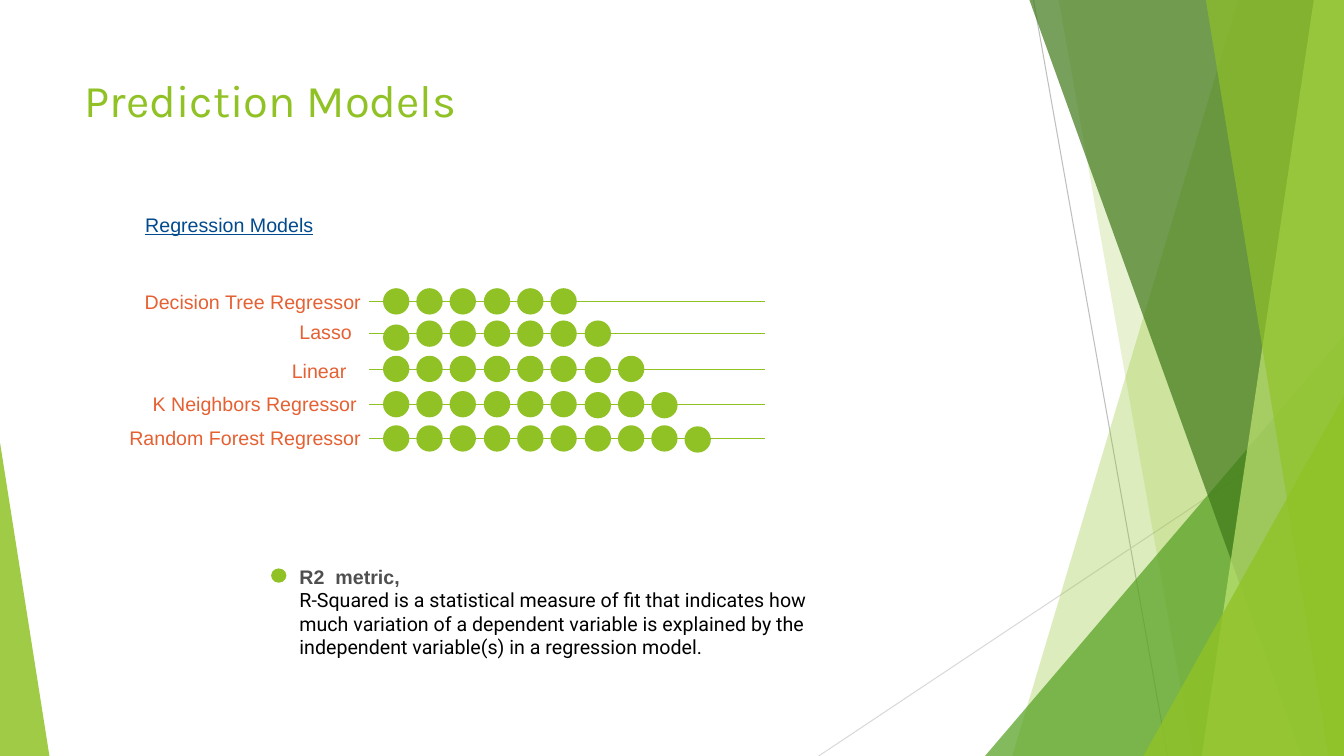
import pptx
import pptx.util
import pptx.dml.color
import pptx.enum.shapes
import pptx.enum.text
import pptx.oxml.ns
from lxml import etree

PX = 9144  # EMU per px, 100 px to the inch
SHAPE = pptx.enum.shapes.MSO_SHAPE
ALIGN = pptx.enum.text.PP_ALIGN
ANCHOR = pptx.enum.text.MSO_ANCHOR
GREEN, ORANGE, BLUE, GREY, BLACK = "90C226", "E56032", "004A8D", "4F4F4F", "000000"


def px(*values):
    return [pptx.util.Emu(v * PX) for v in values]


def rgb(value):
    return pptx.dml.color.RGBColor.from_string(value)


class Deck:
    def __init__(self, width, height):
        self.prs = pptx.Presentation()
        self.prs.slide_width, self.prs.slide_height = px(width, height)
        self.s = None

    def add_slide(self):
        self.s = self.prs.slides.add_slide(self.prs.slide_layouts[5])

    def run(self, p, text, size=14, font="Arial", color=BLACK, bold=False, underline=False):
        r = p.add_run()
        r.text = text
        r.font.size, r.font.name = pptx.util.Pt(size), font
        r.font.bold, r.font.underline = bold, underline
        r.font.color.rgb = rgb(color)

    def title(self, text, x, y, w, h):
        sp = self.s.shapes.title
        sp.left, sp.top, sp.width, sp.height = px(x, y, w, h)
        tf = sp.text_frame
        tf.vertical_anchor = ANCHOR.MIDDLE
        tf.paragraphs[0].alignment = ALIGN.LEFT
        self.run(tf.paragraphs[0], text, 32.4, "Karla", GREEN)

    def text(self, x, y, w, h, runs, align=ALIGN.LEFT):
        """One paragraph for each (text, style) pair."""
        tf = self.s.shapes.add_textbox(*px(x, y, w, h)).text_frame
        tf.word_wrap = True
        tf.margin_left = tf.margin_right = tf.margin_top = tf.margin_bottom = 0
        for i, (words, style) in enumerate(runs):
            p = tf.add_paragraph() if i else tf.paragraphs[0]
            p.alignment = align
            self.run(p, words, **style)

    def line(self, x1, y1, x2, y2, color, width):
        sp = self.s.shapes.add_connector(
            pptx.enum.shapes.MSO_CONNECTOR.STRAIGHT, *px(x1, y1, x2, y2))
        sp.line.color.rgb = rgb(color)
        sp.line.width = pptx.util.Pt(width)
        etree.SubElement(sp._element.spPr, pptx.oxml.ns.qn("a:effectLst"))

    def paint(self, sp, color, opacity):
        sp.shadow.inherit = False
        sp.fill.solid()
        sp.fill.fore_color.rgb = rgb(color)
        sp.line.fill.background()
        clr = sp._element.spPr.find(".//" + pptx.oxml.ns.qn("a:srgbClr"))
        etree.SubElement(clr, pptx.oxml.ns.qn("a:alpha"), val=str(opacity * 1000))

    def facet(self, points, color, opacity):
        fb = self.s.shapes.build_freeform(*points[0], scale=PX)
        fb.add_line_segments(points[1:], close=True)
        self.paint(fb.convert_to_shape(), color, opacity)

    def triangle(self, x, y, w, h, apex, color, opacity):
        sp = self.s.shapes.add_shape(SHAPE.ISOSCELES_TRIANGLE, *px(x, y, w, h))
        sp.adjustments[0] = apex
        self.paint(sp, color, opacity)

    def dot(self, x, y, w, h):
        sp = self.s.shapes.add_shape(SHAPE.OVAL, *px(x, y, w, h))
        sp.shadow.inherit = False
        sp.fill.solid()
        sp.fill.fore_color.rgb = sp.line.color.rgb = rgb(GREEN)
        sp.line.width = pptx.util.Pt(1.5)


W, H = 1333, 750
deck = Deck(W, H)
deck.add_slide()

# Background facets, each running from a top corner to a bottom corner
deck.line(1025, 0, 1158, H, "BFBFBF", 0.75)
deck.line(W, 403, 812, H, "D9D9D9", 0.75)


def band(top, bottom, color, opacity):
    deck.facet([(top, 0), (W, 0), (W, H), (bottom, H)], color, opacity)


band(1228, 1004, GREEN, 30)
band(1050, 1183, GREEN, 20)
deck.triangle(977, 333, 356, 417, 1, "54A021", 72)
band(1021, 1291, "3F7819", 70)
band(1303, 1192, "C0E474", 70)
band(1196, 1318, GREEN, 65)
deck.triangle(1134, 393, 199, 357, 1, GREEN, 80)
deck.triangle(0, 439, 49, 311, 0, GREEN, 85)

# Headings
deck.title("Prediction Models", 74, 67, 940, 64)
deck.text(144, 211, 222, 24, [("Regression Models", dict(color=BLUE, underline=True))])

# Dot ratings: label, its left, top and width, line height, number of dots
RATINGS = [
    ("Decision Tree Regressor", 117, 288, 241, 299, 6),
    ("Lasso", 201, 317, 148, 331, 7),
    ("Linear ", 201, 356, 148, 366, 8),
    ("K Neighbors Regressor", 127, 389, 227, 401, 9),
    ("Random Forest Regressor", 122, 423, 236, 435, 10),
]
DOT, PITCH = 24, 33.25
DROPS = {(1, 0): 4, (2, 6): 1, (3, 6): 1, (3, 8): 1, (4, 9): 1}  # lowered dots
for row, (label, x, y, w, line_y, count) in enumerate(RATINGS):
    deck.text(x, y, w, 24, [(label, dict(color=ORANGE))], ALIGN.RIGHT)
    deck.line(366, line_y, 759, line_y, GREEN, 0.5)
    for i in range(count):
        top = line_y - DOT // 2 + DROPS.get((row, i), 0)
        deck.dot(381 + round(i * PITCH), top, DOT, DOT)

# Key to the dots
deck.dot(270, 565, 13, 12)
deck.text(297, 560, 506, 118, [
    ("R2  metric,", dict(color=GREY, bold=True)),
    ("R-Squared is a statistical measure of fit that indicates how much variation "
     "of a dependent variable is explained by the independent variable(s) in a "
     "regression model.", dict(font="Roboto")),
])

deck.prs.save("out.pptx")
